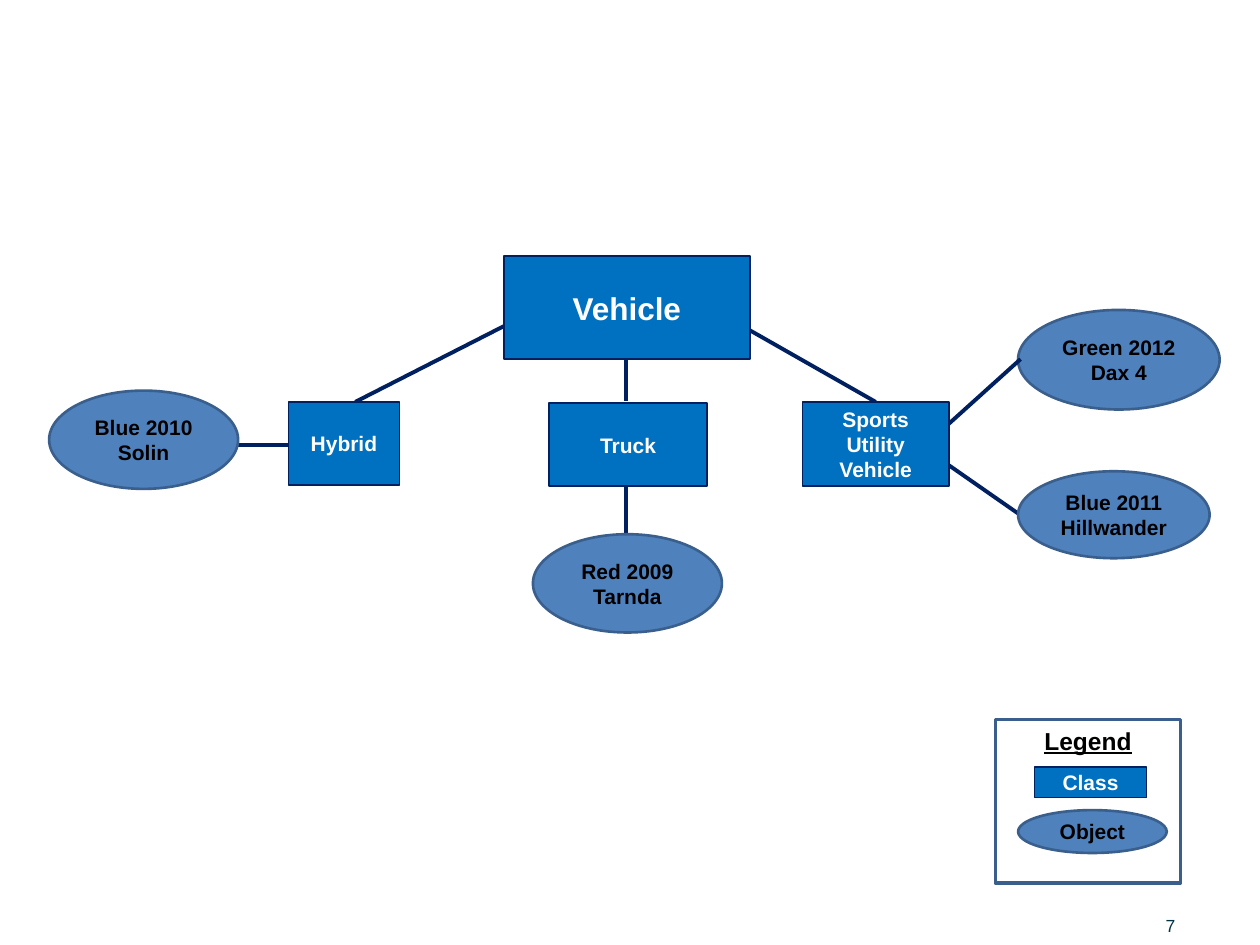
from lxml import etree
from pptx import Presentation
from pptx.dml.color import RGBColor
from pptx.enum import shapes, text
from pptx.oxml.ns import qn
from pptx.util import Inches, Pt

WHITE = RGBColor(0xFF, 0xFF, 0xFF)
BLACK = RGBColor(0, 0, 0)
NAVY = RGBColor(0x00, 0x20, 0x60)
CLASS_BLUE = RGBColor(0x00, 0x70, 0xC0)
OBJECT_BLUE = RGBColor(0x4F, 0x81, 0xBD)
OBJECT_EDGE = RGBColor(0x3A, 0x5F, 0x8C)
NUMBER_INK = RGBColor(0x00, 0x33, 0x44)

RECT = shapes.MSO_SHAPE.RECTANGLE
OVAL = shapes.MSO_SHAPE.OVAL
CENTER = text.PP_ALIGN.CENTER
MIDDLE = text.MSO_ANCHOR.MIDDLE

STYLES = {
    "frame": (RECT, WHITE, OBJECT_EDGE, 2, BLACK, 0.1),
    "class": (RECT, CLASS_BLUE, NAVY, 1, WHITE, 0.1),
    "object": (OVAL, OBJECT_BLUE, OBJECT_EDGE, 1.5, BLACK, 0.05),
}

prs = Presentation()
prs.slide_width, prs.slide_height = Inches(10), Inches(7.5)
s = prs.slides.add_slide(prs.slide_layouts[6])


def write(tf, words, size, color, align=CENTER, anchor=MIDDLE, inset=0.0, **extra):
    frame = {"word_wrap": True, "vertical_anchor": anchor,
             "margin_left": Inches(inset), "margin_right": Inches(inset),
             "margin_top": Inches(inset / 2), "margin_bottom": Inches(inset / 2)}
    for name, value in frame.items():
        setattr(tf, name, value)
    p = tf.paragraphs[0]
    p.alignment = align
    r = p.add_run()
    r.text = words
    r.font.color.rgb = color
    for name, value in {"name": "Arial", "size": Pt(size), **extra}.items():
        setattr(r.font, name, value)


def add_node(style, box, words="", size=12):
    kind, fill, edge, width, ink, inset = STYLES[style]
    sp = s.shapes.add_shape(kind, *map(Inches, box))
    sp.shadow.inherit = False
    sp.fill.solid()
    sp.fill.fore_color.rgb = fill
    sp.line.color.rgb = edge
    sp.line.width = Pt(width)
    if words:
        write(sp.text_frame, words, size, ink, inset=inset, bold=True)


add_node("frame", (7.9, 5.71, 1.47, 1.3))
tb = s.shapes.add_textbox(*map(Inches, (7.91, 5.73, 1.45, 0.29)))
write(tb.text_frame, "Legend", 14, BLACK, bold=True, underline=True)
add_node("class", (8.21, 6.09, 0.89, 0.24), "Class")
add_node("object", (8.08, 6.43, 1.18, 0.34), "Object")

add_node("object", (8.08, 2.46, 1.6, 0.79), "Green 2012 Dax 4")

links = [
    (1.7, 3.53, 2.29, 3.53),
    (7.49, 3.4, 8.1, 2.85),
    (8.13, 4.11, 7.47, 3.65),
    (2.82, 3.19, 4.33, 2.42),
    (6.95, 3.19, 5.65, 2.45),
    (4.97, 3.18, 4.97, 2.74),
    (4.97, 4.25, 4.97, 3.81),
]
for link in links:
    cx = s.shapes.add_connector(shapes.MSO_CONNECTOR.STRAIGHT, *map(Inches, link))
    cx.line.color.rgb = NAVY
    cx.line.width = Pt(2.25)
    etree.SubElement(cx._element.spPr, qn("a:effectLst"))

nodes = [
    ("class", (2.29, 3.19, 0.88, 0.66), "Hybrid", 12),
    ("object", (8.08, 3.74, 1.52, 0.69), "Blue 2011 Hillwander", 12),
    ("object", (0.39, 3.1, 1.5, 0.78), "Blue 2010 Solin", 12),
    ("class", (6.37, 3.19, 1.16, 0.67), "Sports Utility Vehicle", 12),
    ("object", (4.23, 4.24, 1.5, 0.78), "Red 2009 Tarnda", 12),
    ("class", (4, 2.03, 1.95, 0.82), "Vehicle", 18),
    ("class", (4.36, 3.2, 1.25, 0.66), "Truck", 12),
]
for node in nodes:
    add_node(*node)

tb = s.shapes.add_textbox(*map(Inches, (9.25, 7.15, 0.69, 0.28)))
write(tb.text_frame, "7", 10, NUMBER_INK, align=text.PP_ALIGN.LEFT,
      anchor=text.MSO_ANCHOR.BOTTOM)

prs.save("out.pptx")
